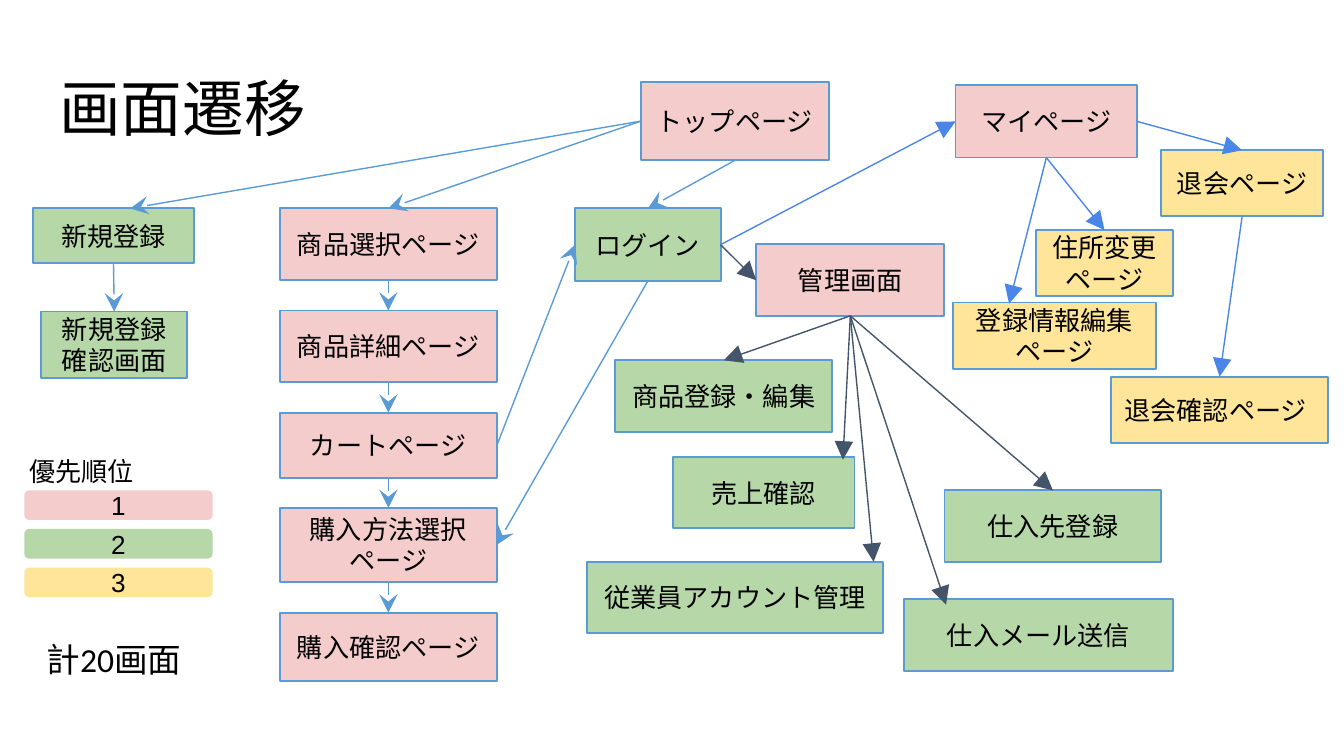
from lxml.etree import SubElement
from pptx import Presentation
from pptx.dml.color import RGBColor
from pptx.enum.shapes import MSO_CONNECTOR, MSO_SHAPE
from pptx.enum.text import MSO_ANCHOR, MSO_AUTO_SIZE, PP_ALIGN
from pptx.oxml.ns import qn
from pptx.util import Cm, Pt

COLORS = {
    "black": "000000", "pink": "F4CCCC", "green": "B6D7A8", "yellow": "FFE599",
    "blue": "5B9BD5", "slate": "44546A", "bright": "4A86E8",
}
TOP, LEFT, BOTTOM, RIGHT = range(4)


def color(name):
    return RGBColor.from_string(COLORS[name])


def write(shape, text, size=14, font="Arial", align=PP_ALIGN.CENTER,
          anchor=MSO_ANCHOR.MIDDLE, inset=0.13):
    frame = shape.text_frame
    frame.word_wrap = True
    frame.auto_size = MSO_AUTO_SIZE.NONE
    frame.vertical_anchor = anchor
    frame.margin_left = frame.margin_right = Cm(0.25)
    frame.margin_top = frame.margin_bottom = Cm(inset)
    para = frame.paragraphs[0]
    para.alignment = align
    span = para.add_run()
    span.text = text
    span.font.size = Pt(size)
    span.font.name = font
    span.font.color.rgb = color("black")
    return para


deck = Presentation()
deck.slide_width, deck.slide_height = Cm(25.4), Cm(14.29)
page = deck.slides.add_slide(deck.slide_layouts[5])

title = page.shapes.title
title.left, title.top, title.width, title.height = Cm(0.87), Cm(1.23), Cm(23.67), Cm(1.59)
heading = write(title, "画面遷移", 33, align=PP_ALIGN.LEFT, anchor=MSO_ANCHOR.TOP, inset=0.25)
heading.line_spacing = 0.9

screens = [
    ("トップページ", 12.11, 1.55, 3.56, 1.48, "pink", "Arial"),
    ("商品選択ページ", 5.29, 3.94, 4.1, 1.35, "pink", "Arial"),
    ("商品詳細ページ", 5.29, 5.87, 4.1, 1.35, "pink", "Arial"),
    ("カートページ", 5.29, 7.8, 4.1, 1.24, "pink", "Arial"),
    ("購入方法選択ページ", 5.29, 9.6, 4.1, 1.4, "pink", "Arial"),
    ("購入確認ページ", 5.29, 11.58, 4.1, 1.3, "pink", "Arial"),
    ("新規登録", 0.62, 3.94, 3.05, 1.03, "green", "Calibri"),
    ("新規登録確認画面", 0.78, 5.89, 2.76, 1.25, "green", "Calibri"),
    ("ログイン", 10.87, 3.94, 2.75, 1.37, "green", "Calibri"),
    ("管理画面", 14.29, 4.62, 3.56, 1.35, "pink", "Arial"),
    ("仕入メール送信", 17.09, 11.33, 5.08, 1.35, "green", "Arial"),
    ("仕入先登録", 17.85, 9.27, 4.1, 1.35, "green", "Arial"),
    ("商品登録・編集", 11.63, 6.81, 4.1, 1.35, "green", "Arial"),
    ("売上確認", 12.72, 8.64, 3.43, 1.35, "green", "Arial"),
    ("従業員アカウント管理", 11.1, 10.62, 5.59, 1.35, "green", "Arial"),
    ("マイページ", 18.06, 1.61, 3.43, 1.37, "pink", "Calibri"),
    ("登録情報編集ページ", 18.01, 5.72, 3.84, 1.25, "yellow", "Calibri"),
    ("住所変更ページ", 19.58, 4.35, 2.59, 1.25, "yellow", "Calibri"),
    ("退会ページ", 21.95, 2.84, 3.05, 1.25, "yellow", "Calibri"),
    ("退会確認ページ", 21, 7.12, 4.1, 1.25, "yellow", "Calibri"),
]
boxes = {}
for name, left, top, width, height, fill, font in screens:
    box = page.shapes.add_shape(MSO_SHAPE.RECTANGLE, Cm(left), Cm(top), Cm(width), Cm(height))
    box.shadow.inherit = False
    box.fill.solid()
    box.fill.fore_color.rgb = color(fill)
    box.line.color.rgb = color("blue")
    box.line.width = Pt(1)
    write(box, name, font=font,
          align=PP_ALIGN.LEFT if name == "退会確認ページ" else PP_ALIGN.CENTER)
    boxes[name] = box

purchase_steps = [screen[0] for screen in screens[1:6]]
flows = {
    ("blue", "stealth"): [
        ("トップページ", LEFT, "商品選択ページ", TOP),
        ("トップページ", LEFT, "新規登録", (2.46, 3.94)),
        ("トップページ", BOTTOM, "ログイン", TOP),
        ("新規登録", BOTTOM, "新規登録確認画面", TOP),
        ("カートページ", RIGHT, "ログイン", LEFT),
        ("ログイン", BOTTOM, "購入方法選択ページ", RIGHT),
    ] + [(a, BOTTOM, b, TOP) for a, b in zip(purchase_steps, purchase_steps[1:])],
    ("slate", "triangle"): [
        ("ログイン", RIGHT, "管理画面", LEFT),
        ("管理画面", BOTTOM, "商品登録・編集", TOP),
        ("管理画面", BOTTOM, "売上確認", (15.93, 8.69)),
        ("管理画面", BOTTOM, "従業員アカウント管理", (16.51, 10.62)),
        ("管理画面", BOTTOM, "仕入メール送信", (17.88, 11.43)),
        ("管理画面", BOTTOM, "仕入先登録", TOP),
    ],
    ("bright", "triangle"): [
        ("ログイン", RIGHT, "マイページ", LEFT),
        ("マイページ", BOTTOM, "登録情報編集ページ", (19.07, 5.74)),
        ("マイページ", BOTTOM, "住所変更ページ", TOP),
        ("マイページ", RIGHT, "退会ページ", TOP),
        ("退会ページ", BOTTOM, "退会確認ページ", TOP),
    ],
}
for (stroke, head), arrows in flows.items():
    for source, exit_side, target, entry in arrows:
        end_x, end_y = entry if isinstance(entry, tuple) else (0, 0)
        arrow = page.shapes.add_connector(MSO_CONNECTOR.STRAIGHT, 0, 0, Cm(end_x), Cm(end_y))
        arrow.begin_connect(boxes[source], exit_side)
        if not isinstance(entry, tuple):
            arrow.end_connect(boxes[target], entry)
        arrow.line.color.rgb = color(stroke)
        arrow.line.width = Pt(0.75)
        properties = arrow.line._get_or_add_ln()
        SubElement(properties, qn("a:tailEnd"), type=head, w="lg", len="lg")
        SubElement(properties.getparent(), qn("a:effectLst"))

for rank, fill in enumerate(("pink", "green", "yellow")):
    badge = page.shapes.add_shape(MSO_SHAPE.ROUNDED_RECTANGLE, Cm(0.46),
                                  Cm(9.27 + 0.73 * rank), Cm(3.56), Cm(0.56))
    badge.shadow.inherit = False
    badge.fill.solid()
    badge.fill.fore_color.rgb = color(fill)
    badge.line.fill.background()
    write(badge, str(rank + 1))

legend = page.shapes.add_textbox(Cm(0.3), Cm(8.36), Cm(3.05), Cm(0.56))
write(legend, "優先順位", align=PP_ALIGN.LEFT, anchor=MSO_ANCHOR.TOP, inset=0.25)
total = page.shapes.add_textbox(Cm(0.63), Cm(11.94), Cm(3.43), Cm(1.02))
write(total, "計20画面", 18, "Calibri", PP_ALIGN.LEFT, MSO_ANCHOR.TOP)

deck.save("out.pptx")
